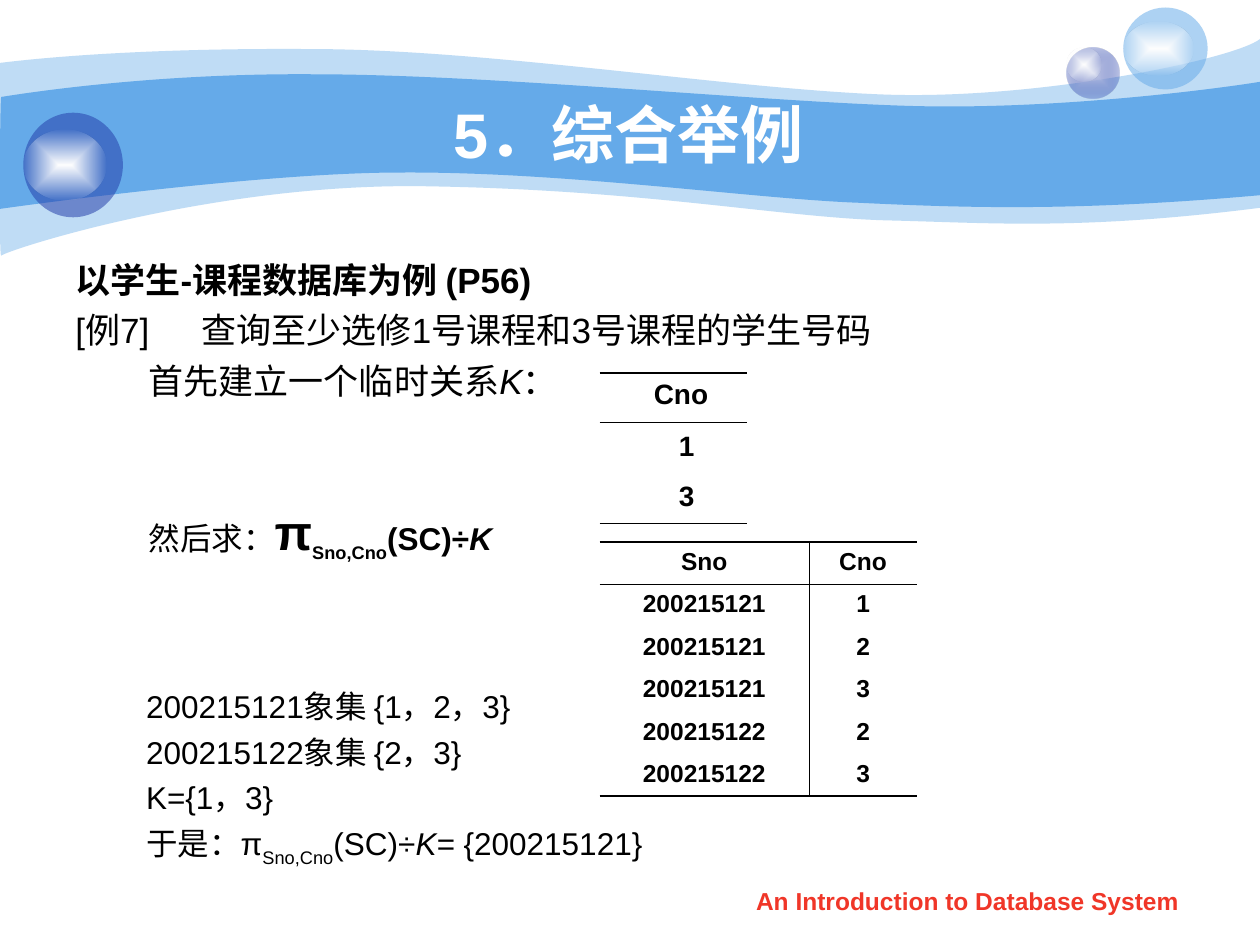
from pptx import Presentation
from pptx.dml.color import RGBColor
from pptx.enum.shapes import MSO_SHAPE
from pptx.enum.text import MSO_ANCHOR, PP_ALIGN
from pptx.oxml import parse_xml
from pptx.oxml.ns import nsdecls, qn
from pptx.util import Inches, Pt

THEME = {
    "font": "Arial",
    "sky": "65AAE9", "navy": "233DA9", "mist": "C6CCE8",
    "white": "FFFFFF", "glow": "FEFEFE", "black": "000000", "red": "F03628",
    "title": 36, "body": 20, "step": 18, "symbol": 28, "key": 16, "small": 14,
    "thick": 1.08, "thin": 0.45,
}

presentation = Presentation()
presentation.slide_width, presentation.slide_height = Inches(10), Inches(7.5)
COLUMN = presentation.slide_width / 100
ROW = presentation.slide_height / 75
slide = presentation.slides.add_slide(presentation.slide_layouts[6])


def place(left, top, width, height):
    return [round(left * COLUMN), round(top * ROW), round(width * COLUMN), round(height * ROW)]


def write(frame, paragraphs, base, layout):
    for index, (runs, own_layout) in enumerate(paragraphs):
        paragraph = frame.paragraphs[0] if index == 0 else frame.add_paragraph()
        paragraph_format = {**layout, **own_layout}
        properties = paragraph._p.get_or_add_pPr()
        properties.set("marL", str(round(paragraph_format.pop("indent", 0) * COLUMN)))
        properties.set("indent", "0")
        tab = paragraph_format.pop("tab", None)
        if index == 0:
            paragraph_format.pop("space_before", None)
        for name, value in paragraph_format.items():
            setattr(paragraph, name, value)
        if tab:
            properties.append(parse_xml(
                f'<a:tabLst {nsdecls("a")}><a:tab pos="{round(tab * COLUMN)}" algn="l"/></a:tabLst>'))
        for text, own_format in runs:
            run = paragraph.add_run()
            run.text = text
            run_format = {"name": THEME["font"], "color": "black", **base, **own_format}
            run.font.color.rgb = RGBColor.from_string(THEME[run_format.pop("color")])
            run.font.size = Pt(THEME[run_format.pop("size")])
            if run_format.pop("subscript", False):
                run._r.get_or_add_rPr().set("baseline", "-30000")
            for name, value in run_format.items():
                setattr(run.font, name, value)


# Each wave: a start point, then three points for every curve or one for a straight side
waves = [
    ((0, 5), [
        [(2.4, 4.7), (10.7, 3.8), (24.7, 3.9)], [(38.6, 3.9), (57.5, 7), (69.9, 7.5)],
        [(82.2, 8), (98, 4.7), (100, 3.1)], [(100, 16.5)],
        [(85.8, 18.3), (78.7, 17.7), (70.5, 17.5)], [(62.2, 17.3), (51.5, 15.1), (34.3, 14.8)],
        [(17.2, 14.4), (0.4, 19.9), (0.1, 20.3)], [(-0.1, 20.8), (0, 7.5), (0, 5)]], 41),
    ((0.1, 7.7), [
        [(0.2, 7.7), (11, 5.8), (24.8, 5.9)], [(38.6, 5.9), (59.5, 8), (71.8, 8.4)],
        [(84.1, 8.8), (97.6, 6.9), (100, 6.5)], [(100, 15.5)],
        [(85.3, 16.8), (76.5, 16.5), (68.2, 16.1)], [(59.9, 15.8), (44.7, 13.6), (31.7, 13.7)],
        [(20.3, 13.7), (-0.2, 16.6), (-0.1, 16.6)], [(0, 16.6), (0, 7.7), (0.1, 7.7)]], 100),
]
balls = [
    ((84.65, 3.8, 4.2, 4), [("mist", 100), ("navy", 31)], (84.65, 3.8, 2.8, 2.7)),
    ((89.15, 0.6, 6.7, 6.5), [("sky", 53)], (89.15, 1.7, 5.6, 4.3)),
    ((1.85, 8.95, 7.9, 8.3), [("navy", 53)], (1.85, 10.3, 6.6, 5.6)),
]
decorations = []
for start, sides, opacity in waves:
    builder = slide.shapes.build_freeform(
        round(start[0] * COLUMN), round(start[1] * ROW), scale=1.0)
    builder.add_line_segments(
        [(round(x * COLUMN), round(y * ROW)) for side in sides for x, y in side], close=True)
    wave = builder.convert_to_shape()
    segments = iter(list(wave._element.iter(qn("a:lnTo"))))
    for side in sides:
        segment = next(segments)
        if len(side) == 3:
            curve = parse_xml(f'<a:cubicBezTo {nsdecls("a")}/>')
            segment.addprevious(curve)
            for part in (segment, next(segments), next(segments)):
                curve.append(part[0])
                part.getparent().remove(part)
    decorations.append((wave, [("sky", opacity)]))
for ball, paint, shine in balls:
    for area, stops in ((ball, paint), (shine, [("white", 100), ("glow", 0)])):
        decorations.append((slide.shapes.add_shape(MSO_SHAPE.OVAL, *place(*area)), stops))

for shape, stops in decorations:
    shape.shadow.inherit = False
    shape.line.fill.background()
    shape.fill.background()
    colors = [f'<a:srgbClr val="{THEME[color]}"><a:alpha val="{opacity * 1000}"/></a:srgbClr>'
              for color, opacity in stops]
    if len(colors) == 1:
        fill = f'<a:solidFill {nsdecls("a")}>{colors[0]}</a:solidFill>'
    else:
        fill = (f'<a:gradFill {nsdecls("a")}><a:gsLst><a:gs pos="0">{colors[0]}</a:gs>'
                f'<a:gs pos="100000">{colors[1]}</a:gs></a:gsLst><a:path path="rect">'
                '<a:fillToRect l="50000" t="50000" r="50000" b="50000"/></a:path></a:gradFill>')
    shape_properties = shape._element.spPr
    shape_properties.replace(shape_properties.find(qn("a:noFill")), parse_xml(fill))

bold, italic, subscript = {"bold": True}, {"italic": True}, {"subscript": True}
centered = {"alignment": PP_ALIGN.CENTER}
step_format = {"size": "step"}
text_boxes = [
    ((9.5, 7.5, 80.8, 6.2), MSO_ANCHOR.MIDDLE,
     {"size": "title", "color": "white", **bold}, centered,
     [([("5．综合举例", {})], {})]),
    ((5, 20, 88.3, 49.2), MSO_ANCHOR.TOP, {"size": "body"}, {"space_before": Pt(5)},
     [([("以学生-课程数据库为例 (P56)", bold)], {}),
      ([("[例7]\t查询至少选修1号课程和3号课程的学生号码", {})], {"tab": 8.85}),
      ([("首先建立一个临时关系", {}), ("K", italic), ("：", {})], {"indent": 5.82}),
      ([("然后求：", step_format), ("π", {"size": "symbol", **bold}),
        ("Sno,Cno", {**step_format, **bold, **subscript}),
        ("(SC)÷", {**step_format, **bold}), ("K", {**step_format, **bold, **italic})],
       {"indent": 5.82, "space_before": Pt(57)})]),
    ((10.62, 54.03, 52, 17.3), MSO_ANCHOR.TOP, step_format, {"space_before": Pt(4.5)},
     [([("200215121象集 {1，2，3}", {})], {}),
      ([("200215122象集 {2，3}", {})], {}),
      ([("K={1，3}", {})], {}),
      ([("于是：π", {}), ("Sno,Cno", subscript), ("(SC)÷", {}), ("K= ", italic),
        ("{200215121}", {})], {})]),
    ((57.1, 69.8, 39.4, 3.5), MSO_ANCHOR.TOP,
     {"size": "small", "color": "red", **bold}, centered,
     [([("An Introduction to Database System", {})], {})]),
]
for area, anchor, base, layout, paragraphs in text_boxes:
    frame = slide.shapes.add_textbox(*place(*area)).text_frame
    for name, value in {"word_wrap": True, "vertical_anchor": anchor}.items():
        setattr(frame, name, value)
    write(frame, paragraphs, base, layout)

# Cell insets are (left, top), one pair for each row
tables = [
    ((47.6, 29.6, 11.7, 11.9), [11.7], [3.9, 4, 4], "key", "thin",
     [(2.2, 0.5), (3.1, 0.7), (3.1, 0.7)], [["Cno"], ["1"], ["3"]]),
    ((47.6, 43, 25.2, 20.2), [16.6, 8.6], [3.37] * 6, "small", "thick", [(1, 0.5)] * 6,
     [["Sno", "Cno"], ["200215121", "1"], ["200215121", "2"], ["200215121", "3"],
      ["200215122", "2"], ["200215122", "3"]]),
]
for area, widths, heights, size, closing, insets, rows in tables:
    table = slide.shapes.add_table(len(rows), len(widths), *place(*area)).table
    table.first_row = table.horz_banding = False
    for column, width in zip(table.columns, widths):
        column.width = round(width * COLUMN)
    for row, height in zip(table.rows, heights):
        row.height = round(height * ROW)
    last_row, last_column = len(rows) - 1, len(widths) - 1
    for row_index, values in enumerate(rows):
        left, top = insets[row_index]
        for column_index, value in enumerate(values):
            cell = table.cell(row_index, column_index)
            cell.fill.background()
            cell.margin_left, cell.margin_top = round(left * COLUMN), round(top * ROW)
            write(cell.text_frame, [([(value, {})], {})], {"size": size, **bold}, centered)
            borders = {
                "lnL": "thin" if column_index > 0 else None,
                "lnR": "thin" if column_index < last_column else None,
                "lnT": {0: "thick", 1: "thin"}.get(row_index),
                "lnB": {0: "thin", last_row: closing}.get(row_index),
            }
            for position, (side, weight) in enumerate(borders.items()):
                line = (f'<a:solidFill><a:srgbClr val="{THEME["black"]}"/></a:solidFill>'
                        if weight else "<a:noFill/>")
                width = Pt(THEME[weight]) if weight else 0
                cell._tc.get_or_add_tcPr().insert(position, parse_xml(
                    f'<a:{side} {nsdecls("a")} w="{width}">{line}</a:{side}>'))

presentation.save("out.pptx")
